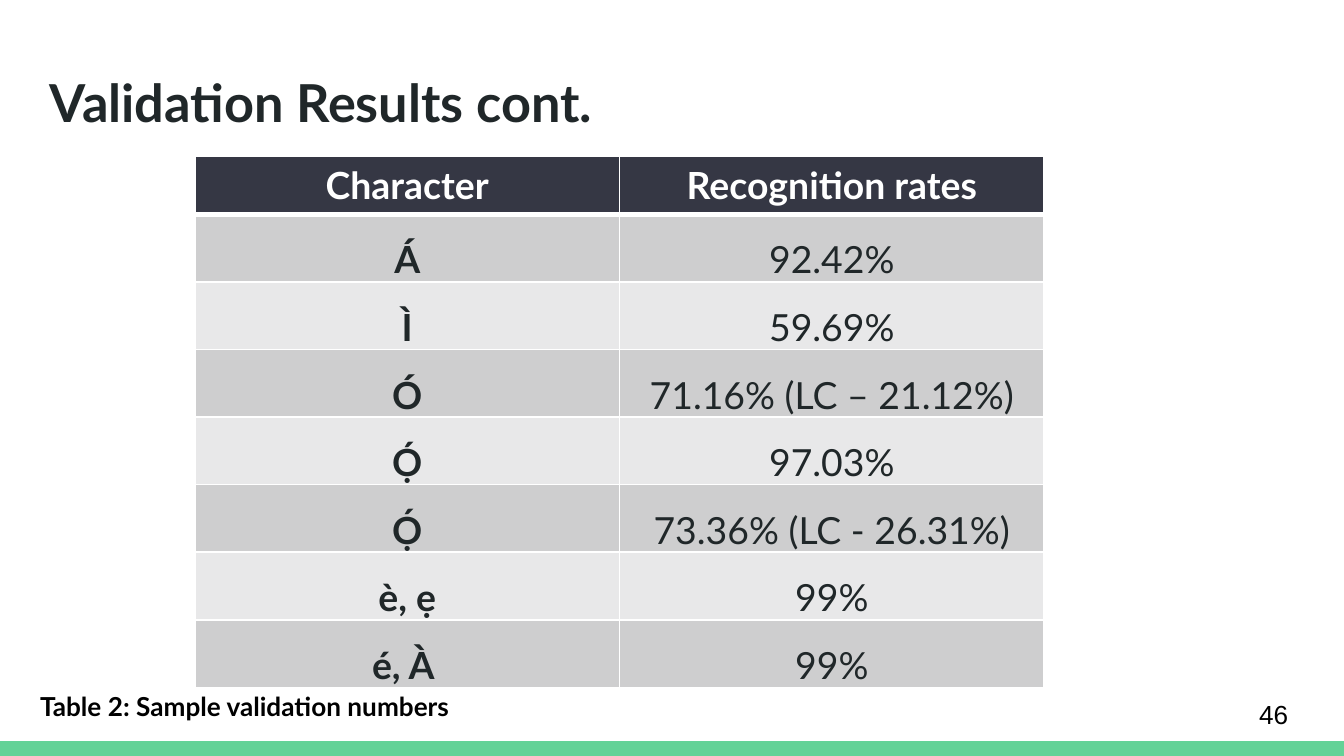
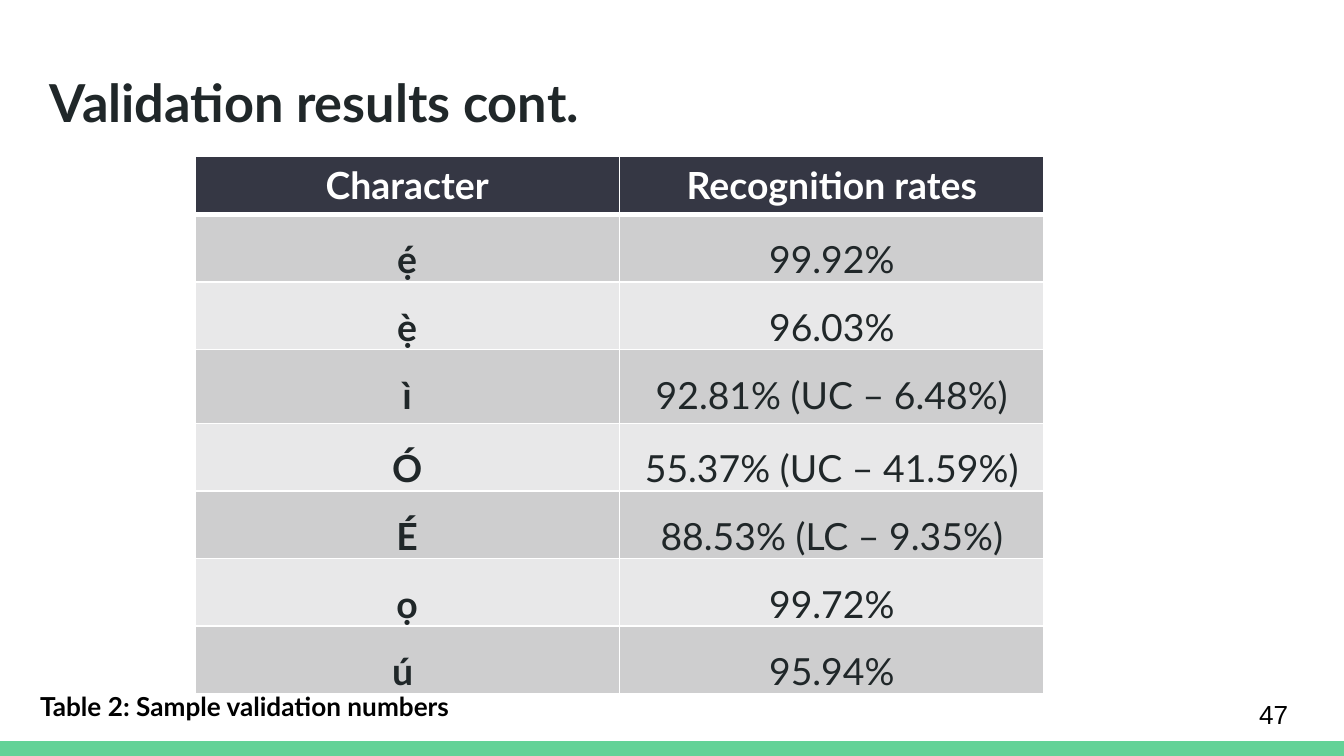
"""Build two slides of character recognition results."""
from typing import NamedTuple, Optional

from lxml.etree import SubElement
from pptx import Presentation
from pptx.dml.color import RGBColor
from pptx.enum.shapes import MSO_SHAPE as Preset
from pptx.enum.text import MSO_ANCHOR as Anchor, MSO_AUTO_SIZE as AutoSize, PP_ALIGN as Align
from pptx.oxml.ns import qn
from pptx.util import Inches, Pt

INK = RGBColor(0x20, 0x27, 0x29)
BLACK = RGBColor(0x00, 0x00, 0x00)
WHITE = RGBColor(0xFF, 0xFF, 0xFF)
GREEN = RGBColor(0x63, 0xD2, 0x97)
NAVY = RGBColor(0x35, 0x37, 0x44)
STRIPES = (RGBColor(0xCE, 0xCE, 0xCF), RGBColor(0xE8, 0xE8, 0xE9))

SLIDE_WIDTH = Inches(10)
SLIDE_HEIGHT = SLIDE_WIDTH * 9 // 16
HEADINGS = ("Character", "Recognition rates")
CAPTION = "Table 2: Sample validation numbers"
COLUMN_WIDTH = 3.16
HEADER_HEIGHT = 0.43
ROW_HEIGHT = 0.5


class Rate(NamedTuple):
    """One recognised character with its rate."""
    character: str
    rate: str
    height: float = ROW_HEIGHT


class ResultSlide(NamedTuple):
    """The content of one results slide."""
    title: str
    number: int
    rates: tuple[Rate, ...]


RESULTS = (
    ResultSlide("Validation Results cont.", 46, (
        Rate("Á", "92.42%"),
        Rate("Ì", "59.69%"),
        Rate("Ó", "71.16% (LC – 21.12%)"),
        Rate("Ọ́", "97.03%"),
        Rate("Ọ́", "73.36% (LC - 26.31%)"),
        Rate("è, ẹ", "99%"),
        Rate("é, À ", "99%"),
    )),
    ResultSlide("Validation results cont.", 47, (
        Rate("ẹ́", "99.92%"),
        Rate("ẹ̀", "96.03%"),
        Rate("ì", "92.81% (UC – 6.48%)", 0.55),
        Rate("Ó", "55.37% (UC – 41.59%)"),
        Rate("É", "88.53% (LC – 9.35%)"),
        Rate("ọ", "99.72%"),
        Rate("ú ", "95.94%"),
    )),
)


def write(frame, text: str, *, size: float, color: RGBColor, bold: bool = False,
          font: str = "Lato", align: Align = Align.LEFT,
          spacing: Optional[float] = None, after: float = 0) -> None:
    """Put one formatted paragraph into a text frame."""
    paragraph = frame.paragraphs[0]
    paragraph.alignment = align
    paragraph.space_before = Pt(0)
    paragraph.space_after = Pt(after)
    if spacing:
        paragraph.line_spacing = spacing
    run = paragraph.add_run()
    run.text = text
    run.font.name = font
    run.font.size = Pt(size)
    run.font.bold = bold
    run.font.color.rgb = color


def set_frame(frame, anchor: Anchor) -> None:
    """Give a text frame the shared margins, wrapping and anchor."""
    frame.word_wrap = True
    frame.auto_size = AutoSize.NONE
    frame.vertical_anchor = anchor
    frame.margin_left = frame.margin_right = Inches(0.1)
    frame.margin_top = frame.margin_bottom = Inches(0.1)


def add_label(slide, text: str, left: float, top: float, width: float,
              height: float, **style) -> None:
    """Add a vertically centred text box."""
    box = slide.shapes.add_textbox(Inches(left), Inches(top), Inches(width), Inches(height))
    set_frame(box.text_frame, Anchor.MIDDLE)
    write(box.text_frame, text, **style)


def add_band(slide) -> None:
    """Draw the green band along the bottom edge."""
    height = Inches(0.11)
    band = slide.shapes.add_shape(Preset.RECTANGLE, Inches(0), SLIDE_HEIGHT - height,
                                  SLIDE_WIDTH, height)
    band.shadow.inherit = False
    band.fill.solid()
    band.fill.fore_color.rgb = GREEN
    band.line.fill.background()


def add_title(slide, text: str) -> None:
    """Place and format the title placeholder."""
    title = slide.shapes.title
    title.left, title.top = Inches(0.27), Inches(0.42)
    title.width, title.height = Inches(9.32), Inches(0.63)
    set_frame(title.text_frame, Anchor.TOP)
    write(title.text_frame, text, size=28, color=INK, bold=True)


def paint_cell(cell, fill: RGBColor, bottom: float = 1) -> None:
    """Give a cell white borders and a plain fill."""
    properties = cell._tc.get_or_add_tcPr()
    for side, width in (("L", 1), ("R", 1), ("T", 1), ("B", bottom)):
        border = SubElement(properties, qn(f"a:ln{side}"), w=str(Pt(width)))
        SubElement(SubElement(border, qn("a:solidFill")), qn("a:srgbClr"), val=str(WHITE))
    cell.fill.solid()
    cell.fill.fore_color.rgb = fill


def add_rates(slide, rates: tuple[Rate, ...]) -> None:
    """Add the table of characters and recognition rates."""
    height = HEADER_HEIGHT + sum(rate.height for rate in rates)
    table = slide.shapes.add_table(
        len(rates) + 1, len(HEADINGS), Inches(1.45), Inches(1.16),
        Inches(COLUMN_WIDTH * len(HEADINGS)), Inches(height)).table
    table.rows[0].height = Inches(HEADER_HEIGHT)
    for column, heading in enumerate(HEADINGS):
        table.columns[column].width = Inches(COLUMN_WIDTH)
        cell = table.cell(0, column)
        paint_cell(cell, NAVY, bottom=3)
        write(cell.text_frame, heading, size=20, color=WHITE, bold=True, align=Align.CENTER)
    for row, rate in enumerate(rates, start=1):
        table.rows[row].height = Inches(rate.height)
        for column, text in enumerate((rate.character, rate.rate)):
            cell = table.cell(row, column)
            cell.margin_left = cell.margin_right = Inches(0.07)
            cell.margin_top = cell.margin_bottom = Inches(0)
            paint_cell(cell, STRIPES[(row - 1) % 2])
            write(cell.text_frame, text, size=20, color=INK, bold=column == 0,
                  align=Align.CENTER, spacing=1.5, after=8)


def add_result(deck, result: ResultSlide) -> None:
    """Add one complete results slide."""
    slide = deck.slides.add_slide(deck.slide_layouts[5])
    add_band(slide)
    add_title(slide, result.title)
    add_label(slide, str(result.number), 9.27, 5.1, 0.6, 0.43,
              size=14, color=BLACK, font="Arial")
    add_rates(slide, result.rates)
    add_label(slide, CAPTION, 0.2, 5.1, 6.8, 0.31, size=14, color=BLACK, bold=True)


def main() -> None:
    """Build and save the deck."""
    deck = Presentation()
    deck.slide_width, deck.slide_height = SLIDE_WIDTH, SLIDE_HEIGHT
    for result in RESULTS:
        add_result(deck, result)
    deck.save("out.pptx")


if __name__ == "__main__":
    main()
